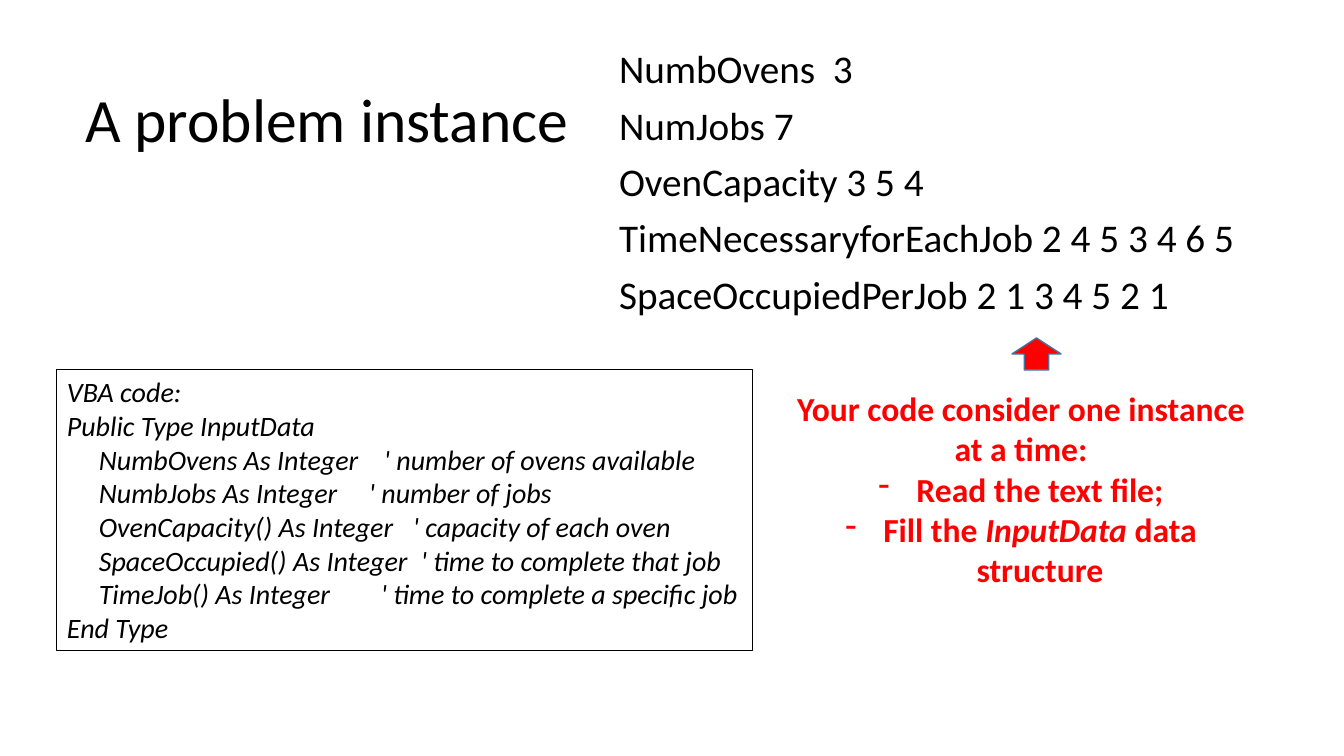
from lxml import etree
from pptx import Presentation
from pptx import util as u
from pptx.dml.color import RGBColor
from pptx.enum import shapes, text
from pptx.oxml.ns import qn

BLACK = RGBColor(0x00, 0x00, 0x00)
WHITE = RGBColor(0xFF, 0xFF, 0xFF)
RED = RGBColor(0xFF, 0x00, 0x00)
BLUE = RGBColor(0x43, 0x73, 0x9E)

LEFT, CENTER = text.PP_ALIGN.LEFT, text.PP_ALIGN.CENTER


def px(n):
    return u.Emu(round(n * 914400 / 100.8))


class ProblemSlide:
    font_name = "Calibri"

    def __init__(self, deck):
        self.slide = deck.slides.add_slide(deck.slide_layouts[1])

    def place(self, shape, box):
        shape.left, shape.top, shape.width, shape.height = map(px, box)
        return shape

    def frame(self, shape, anchor=text.MSO_ANCHOR.TOP, wrap=True):
        frame = shape.text_frame
        frame.word_wrap = wrap
        frame.auto_size = text.MSO_AUTO_SIZE.NONE
        frame.vertical_anchor = anchor
        return frame

    def paragraph(self, frame, index, runs, size, color, align=LEFT, bold=False,
                  spacing=1.0, before=0, bullet=None, hang=0, tabs=()):
        """Fill one paragraph; runs are (wording, italic) pairs."""
        para = frame.paragraphs[0] if index == 0 else frame.add_paragraph()
        para.alignment, para.line_spacing = align, spacing
        para.space_before = u.Pt(before)
        props = para._p.get_or_add_pPr()
        if tabs:
            # An explicit indent would reset the tab stops
            stops = etree.SubElement(props, qn("a:tabLst"))
            for stop in tabs:
                etree.SubElement(stops, qn("a:tab"), pos=str(px(stop)), algn="l")
        else:
            props.set("marL", str(px(hang)))
            props.set("indent", str(px(-hang)))
            if bullet:
                etree.SubElement(props, qn("a:buFontTx"))
                etree.SubElement(props, qn("a:buChar"), char=bullet)
            else:
                etree.SubElement(props, qn("a:buNone"))
        for wording, italic in runs:
            run = para.add_run()
            run.text = wording
            font = run.font
            font.name, font.size = self.font_name, u.Pt(size)
            font.bold, font.italic = bold, italic
            font.color.rgb = color

    def title(self, wording, box):
        heading = self.place(self.slide.shapes.title, box)
        frame = self.frame(heading, text.MSO_ANCHOR.MIDDLE)
        self.paragraph(frame, 0, [(wording, False)], 44, BLACK, spacing=0.9)

    def body(self, lines, box):
        frame = self.frame(self.place(self.slide.placeholders[1], box))
        for i, line in enumerate(lines):
            self.paragraph(frame, i, [(line, False)], 28, BLACK, spacing=0.9, before=10)

    def note(self, lead, steps, box):
        frame = self.frame(self.slide.shapes.add_textbox(*map(px, box)))
        self.paragraph(frame, 0, [(lead, False)], 24, RED, CENTER, bold=True)
        for i, runs in enumerate(steps, 1):
            self.paragraph(frame, i, runs, 24, RED, CENTER, bold=True, bullet="-", hang=38)

    def shape(self, kind, box, fill, line, width):
        shape = self.slide.shapes.add_shape(kind, *map(px, box))
        shape.shadow.inherit = False
        shape.fill.solid()
        shape.fill.fore_color.rgb = fill
        shape.line.color.rgb = line
        shape.line.width = u.Pt(width)
        return shape

    def code(self, opening, fields, closing, box):
        panel = self.shape(shapes.MSO_SHAPE.RECTANGLE, box, WHITE, BLACK, 0.75)
        frame = self.frame(panel, wrap=False)
        rows = [(line, ()) for line in opening]
        rows += [(f"\t{field}\t{remark}", (32, stop)) for field, remark, stop in fields]
        rows.append((closing, ()))
        for i, (row, tabs) in enumerate(rows):
            self.paragraph(frame, i, [(row, True)], 20, BLACK, tabs=tabs)


def main():
    deck = Presentation()
    deck.slide_width, deck.slide_height = px(1344), px(756)
    page = ProblemSlide(deck)

    # Title and instance data
    page.title("A problem instance", (75, 50, 1159, 146))
    page.body(["NumbOvens  3", "NumJobs 7", "OvenCapacity 3 5 4",
               "TimeNecessaryforEachJob 2 4 5 3 4 6 5",
               "SpaceOccupiedPerJob 2 1 3 4 5 2 1"], (609, 45, 656, 318))

    # Advice below the data, with an arrow pointing up to it
    page.note("Your code consider one instance at a time:",
              [[("Read the text file;", False)],
               [("Fill the ", False), ("InputData ", True), ("data structure", False)]],
              (770, 383, 502, 254))
    page.shape(shapes.MSO_SHAPE.UP_ARROW, (1012, 338, 49, 32), RED, BLUE, 1)

    # Type declaration: field, remark and where the remark starts
    page.code(["VBA code:", "Public Type InputData"],
              [("NumbOvens As Integer", "' number of ovens available", 317),
               ("NumbJobs As Integer", "' number of jobs", 302),
               ("OvenCapacity() As Integer", "' capacity of each oven", 346),
               ("SpaceOccupied() As Integer", "' time to complete that job", 354),
               ("TimeJob() As Integer", "' time to complete a specific job", 314)],
              "End Type", (57, 370, 696, 281))

    deck.save("out.pptx")


if __name__ == "__main__":
    main()
